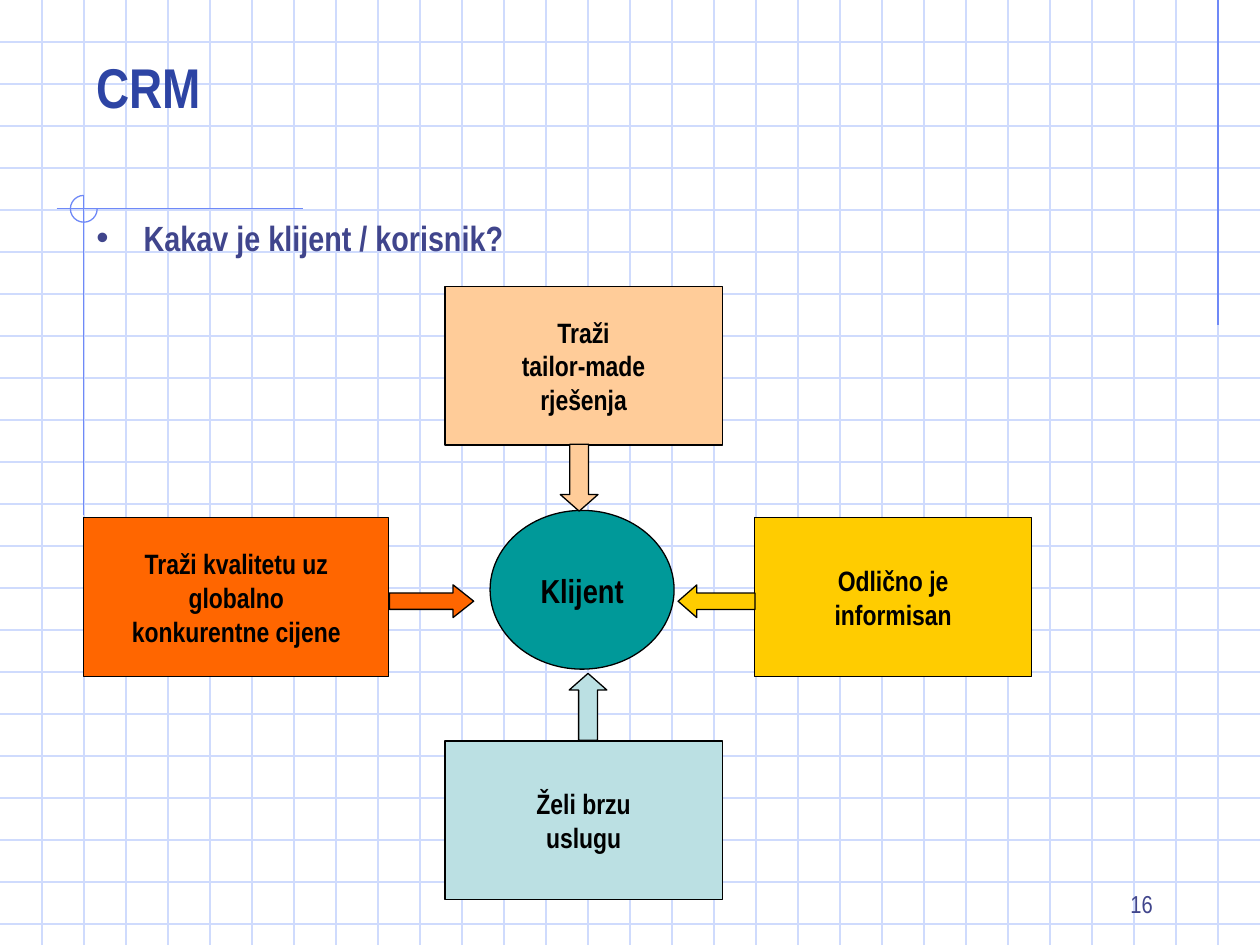
from dataclasses import dataclass

from pptx import Presentation
from pptx.dml.color import RGBColor
from pptx.enum.shapes import MSO_CONNECTOR as CONN, MSO_SHAPE as SHAPE
from pptx.enum.text import MSO_ANCHOR as ANCHOR, MSO_AUTO_SIZE as AUTOSIZE, PP_ALIGN as ALIGN
from pptx.oxml.ns import qn
from pptx.util import Cm, Pt


@dataclass(frozen=True)
class Theme:
    font: str = "Arial Narrow"
    grid: str = "CFDBFD"
    accent: str = "6F89F7"
    title: str = "2D44A4"
    text: str = "40458C"
    ink: str = "000000"
    client: str = "009999"
    quality: str = "FF6600"
    informed: str = "FFCC00"
    speed: str = "BBE0E3"
    tailored: str = "FFCC99"
    line_pt: float = 0.75
    title_pt: int = 32
    subtitle_pt: int = 20
    client_pt: int = 19
    box_pt: int = 16
    number_pt: int = 14


T = Theme()
SLIDE_W, SLIDE_H = 25.4, 19.05
STEP = SLIDE_W / 30  # background grid pitch
MARGIN = 1.69


def rgb(value):
    return RGBColor.from_string(value)


def place(sp, x, y, w, h):
    sp.left, sp.top, sp.width, sp.height = Cm(x), Cm(y), Cm(w), Cm(h)


def set_line(sp, color):
    sp.line.color.rgb = rgb(color)
    sp.line.width = Pt(T.line_pt)


def write(sp, lines, size, color, bold=True, align=ALIGN.LEFT, anchor=ANCHOR.TOP):
    tf = sp.text_frame
    tf.word_wrap = True
    tf.auto_size = AUTOSIZE.NONE
    tf.vertical_anchor = anchor
    tf.text = "\n".join(lines)
    for p in tf.paragraphs:
        p.alignment = align
        p.space_before = Pt(0)
        p.font.name, p.font.size, p.font.bold = T.font, Pt(size), bold
        p.font.color.rgb = rgb(color)
    return tf


def add_line(shapes, x1, y1, x2, y2, color):
    ln = shapes.add_connector(CONN.STRAIGHT, Cm(x1), Cm(y1), Cm(x2), Cm(y2))
    set_line(ln, color)
    sp_pr = ln.element.spPr
    sp_pr.append(sp_pr.makeelement(qn("a:effectLst"), {}))


def add_block(shapes, kind, x, y, w, h, fill):
    sp = shapes.add_shape(kind, Cm(x), Cm(y), Cm(w), Cm(h))
    sp.shadow.inherit = False
    sp.fill.solid()
    sp.fill.fore_color.rgb = rgb(fill)
    set_line(sp, T.ink)
    return sp


def add_label(sp, lines, size):
    tf = write(sp, lines, size, T.ink, align=ALIGN.CENTER, anchor=ANCHOR.MIDDLE)
    tf.margin_left = tf.margin_right = Cm(0.18)
    tf.margin_top = tf.margin_bottom = Cm(0.08)
    return tf


def background(slide, w, h):
    # Squared paper
    grid = slide.shapes.add_group_shape().shapes
    for i in range(1, int(h / STEP) + 1):
        add_line(grid, 0, i * STEP, w, i * STEP, T.grid)
    for i in range(1, 30):
        add_line(grid, i * STEP, 0, i * STEP, h, T.grid)

    # Accent lines and the three-quarter ring at their crossing
    accents = slide.shapes.add_group_shape().shapes
    add_line(accents, w - STEP, 0, w - STEP, 6.55, T.accent)
    add_line(accents, 1.14, 4.2, 6.1, 4.2, T.accent)
    add_line(accents, MARGIN, 3.94, MARGIN, 10.39, T.accent)
    ring = accents.add_shape(SHAPE.ARC, Cm(1.42), Cm(3.94), Cm(0.54), Cm(0.54))
    ring.adjustments[0], ring.adjustments[1] = 0, 162  # 0 to 270 degrees
    ring.shadow.inherit = False
    ring.fill.background()
    set_line(ring, T.accent)


def heading(slide, x, y):
    title, body = slide.placeholders
    for sp in (title, body):  # in front of the grid
        sp.element.getparent().append(sp.element)
    place(title, x, y, 21.59, 1.69)
    write(title, ["CRM"], T.title_pt, T.title, anchor=ANCHOR.BOTTOM)

    place(body, x, y + 3.38, 22.86, 2.79)
    body.text_frame.text = ""
    p_pr = body.text_frame.paragraphs[0]._p.get_or_add_pPr()
    p_pr.set("marL", "0")
    p_pr.set("indent", "0")
    p_pr.append(p_pr.makeelement(qn("a:buNone"), {}))
    write(body, ["Kakav je klijent / korisnik?"], T.subtitle_pt, T.text)


def page_number(slide, x, y):
    sp = slide.shapes.add_textbox(Cm(x), Cm(y), Cm(5.29), Cm(1.27))
    write(sp, ["16"], T.number_pt, T.text, bold=False, align=ALIGN.RIGHT,
          anchor=ANCHOR.BOTTOM)


def client_diagram(slide, x, y):
    shapes = slide.shapes.add_group_shape().shapes
    box_w, box_h = 5.59, 3.2

    client = add_block(shapes, SHAPE.OVAL, x + 8.19, y + 4.52, 3.71, box_h, T.client)
    add_label(client, ["Klijent"], T.client_pt).word_wrap = False

    # Lines, fill, box (x, y, w), arrow (x, y, w, h), arrow turn and head
    demands = [
        (["Traži kvalitetu uz", "globalno", "konkurentne cijene"], T.quality,
         (0, 4.67, 6.15), (6.16, 6.02, 1.7, 0.66), 0, 0.63),
        (["Odlično je", "informisan"], T.informed,
         (13.52, 4.67, box_w), (11.98, 6.02, 1.55, 0.66), 180, 0.57),
        (["Želi brzu", "uslugu"], T.speed,
         (7.28, 9.17, box_w), (9.49, 8.1, 1.35, 0.76), 270, 0.44),
        (["Traži", "tailor-made", "rješenja"], T.tailored,
         (7.28, 0, box_w), (9.31, 3.48, 1.35, 0.76), 90, 0.44),
    ]
    for lines, fill, (bx, by, bw), (ax, ay, aw, ah), turn, head in demands:
        box = add_block(shapes, SHAPE.RECTANGLE, x + bx, y + by, bw, box_h, fill)
        add_label(box, lines, T.box_pt)
        arrow = add_block(shapes, SHAPE.RIGHT_ARROW, x + ax, y + ay, aw, ah, fill)
        arrow.adjustments[1] = head
        arrow.rotation = turn


def main():
    prs = Presentation()
    prs.slide_width, prs.slide_height = Cm(SLIDE_W), Cm(SLIDE_H)
    slide = prs.slides.add_slide(prs.slide_layouts[1])
    background(slide, SLIDE_W, SLIDE_H)
    heading(slide, MARGIN, 0.85)
    page_number(slide, 18.2, 17.36)
    client_diagram(slide, MARGIN, 5.77)
    prs.save("out.pptx")


if __name__ == "__main__":
    main()
